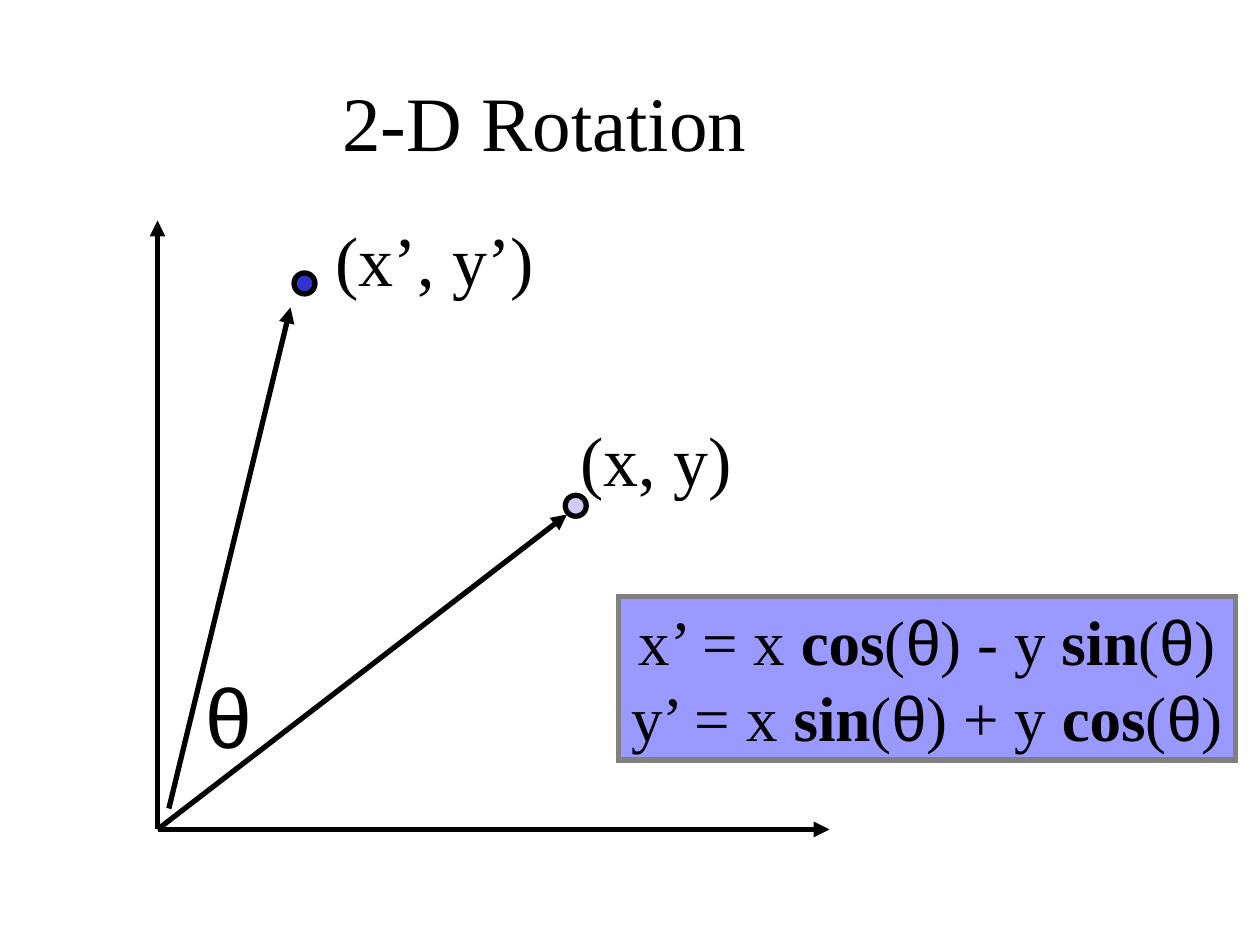
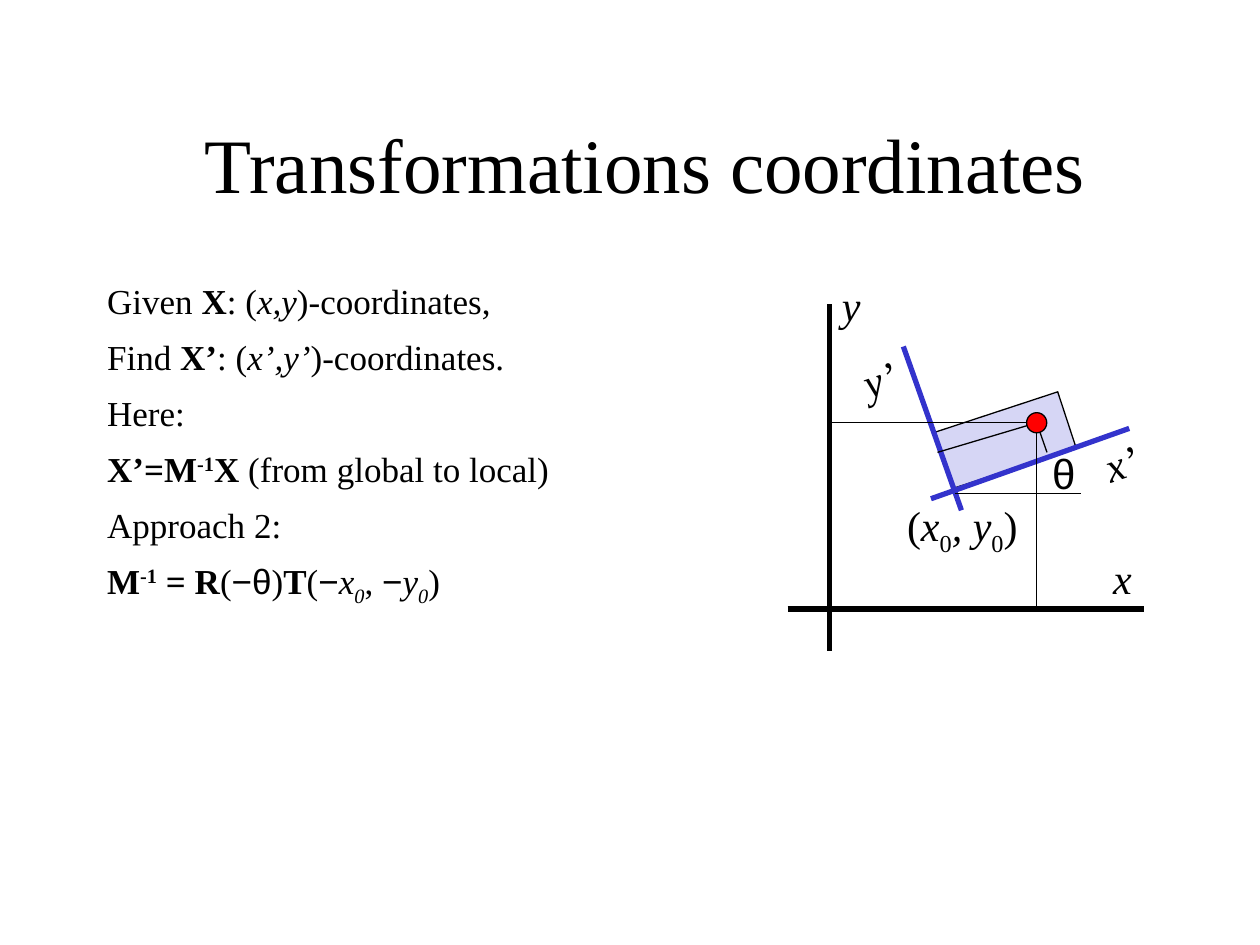
from dataclasses import dataclass
from itertools import groupby

from lxml import etree
from pptx import Presentation
from pptx.dml.color import RGBColor
from pptx.enum.shapes import MSO_CONNECTOR, MSO_SHAPE
from pptx.enum.text import MSO_ANCHOR, MSO_AUTO_SIZE, PP_ALIGN
from pptx.oxml.ns import qn
from pptx.util import Pt

COLORS = {
    "ink": "000000",
    "navy": "3333CC",
    "pale": "CCCCFF",
    "panel": "9999FF",
    "panel_edge": "808080",
    "local_box": "D6D6F5",
    "point": "FF0000",
}
SERIF, SANS = "Times New Roman", "Arial"
SYMBOLS = "θ−"
MARKS = "*/^_"  # bold, italic, superscript, subscript
THICK, THIN = 3, 0.75
TILT = 341.1


@dataclass(frozen=True)
class Label:
    text: str
    box: tuple[float, float, float, float]
    size: float = 24
    align: PP_ALIGN = PP_ALIGN.LEFT
    anchor: MSO_ANCHOR = MSO_ANCHOR.TOP
    before: float = 15
    rotation: float = 0


@dataclass(frozen=True)
class Line:
    start: tuple[float, float]
    end: tuple[float, float]
    width: float = THICK
    color: str = "ink"
    arrow: bool = False


@dataclass(frozen=True)
class Dot:
    center: tuple[float, float]
    size: float
    fill: str
    width: float


def rgb(name: str) -> RGBColor:
    return RGBColor.from_string(COLORS[name])


def place(sp, box) -> None:
    sp.left, sp.top, sp.width, sp.height = (Pt(v) for v in box)


def add_run(p, text: str, *, size: float, font: str = SERIF, bold: bool = False,
            italic: bool = False, baseline: int = 0) -> None:
    r = p.add_run()
    r.text = text
    f = r.font
    f.size, f.name, f.bold, f.italic = Pt(size), font, bold, italic
    f.color.rgb = rgb("ink")
    if baseline:
        r._r.get_or_add_rPr().set("baseline", str(baseline * 1000))


def add_marked(p, text: str, size: float) -> None:
    """Add runs, each character of MARKS switching its format on or off."""
    active, chars = frozenset(), []
    for ch in text:
        if ch in MARKS:
            active ^= {ch}
        else:
            chars.append((ch, active, ch in SYMBOLS))
    for (marks, symbol), group in groupby(chars, key=lambda c: c[1:]):
        add_run(p, "".join(c[0] for c in group), size=size,
                font=SANS if symbol else SERIF,
                bold="*" in marks, italic="/" in marks,
                baseline=30 if "^" in marks else -25 if "_" in marks else 0)


def fill_text(tf, lines, size: float, align: PP_ALIGN, before: float = 0) -> None:
    for i, text in enumerate(lines):
        p = tf.add_paragraph() if i else tf.paragraphs[0]
        p.alignment, p.space_before = align, Pt(before)
        add_marked(p, text, size)


def set_title(slide, text: str, box) -> None:
    sp = slide.shapes.title
    place(sp, box)
    tf = sp.text_frame
    tf.auto_size, tf.vertical_anchor = MSO_AUTO_SIZE.NONE, MSO_ANCHOR.MIDDLE
    fill_text(tf, [text], 44, PP_ALIGN.CENTER)


def set_body(slide, lines, box) -> None:
    sp = slide.placeholders[1]
    place(sp, box)
    tf = sp.text_frame
    tf.auto_size, tf.vertical_anchor = MSO_AUTO_SIZE.NONE, MSO_ANCHOR.TOP
    fill_text(tf, lines, 20, PP_ALIGN.LEFT, before=8)
    for p in tf.paragraphs:
        pPr = p._p.get_or_add_pPr()
        pPr.set("marL", str(Pt(27)))
        pPr.set("indent", str(-Pt(27)))
        etree.SubElement(pPr, qn("a:buNone"))


def add_label(slide, label: Label) -> None:
    sp = slide.shapes.add_textbox(*(Pt(v) for v in label.box))
    sp.rotation = label.rotation
    tf = sp.text_frame
    tf.word_wrap, tf.auto_size = False, MSO_AUTO_SIZE.SHAPE_TO_FIT_TEXT
    tf.vertical_anchor = label.anchor
    fill_text(tf, [label.text], label.size, label.align, label.before)


def add_line(slide, line: Line) -> None:
    c = slide.shapes.add_connector(MSO_CONNECTOR.STRAIGHT,
                                   *(Pt(v) for v in line.start + line.end))
    c.line.width = Pt(line.width)
    c.line.color.rgb = rgb(line.color)
    if line.arrow:
        etree.SubElement(c.line._get_or_add_ln(), qn("a:tailEnd"), type="triangle")
    etree.SubElement(c._element.spPr, qn("a:effectLst"))


def add_block(slide, kind: MSO_SHAPE, box, fill: str, edge: str, width: float):
    sp = slide.shapes.add_shape(kind, *(Pt(v) for v in box))
    sp.shadow.inherit = False
    sp.fill.solid()
    sp.fill.fore_color.rgb = rgb(fill)
    sp.line.color.rgb = rgb(edge)
    sp.line.width = Pt(width)
    etree.SubElement(sp.line._get_or_add_ln(), qn("a:miter"), lim="800000")
    return sp


def add_dot(slide, dot: Dot) -> None:
    x, y = (v - dot.size / 2 for v in dot.center)
    add_block(slide, MSO_SHAPE.OVAL, (x, y, dot.size, dot.size),
              dot.fill, "ink", dot.width)


def build_rotation(prs) -> None:
    slide = prs.slides.add_slide(prs.slide_layouts[5])
    set_title(slide, "2-D Rotation", (20.3, 24, 582, 90))

    origin = (90, 474)
    for dot in (Dot((174, 162), 12, "navy", THICK),
                Dot((329, 289), 12, "pale", THICK)):
        add_dot(slide, dot)
    for start, end in ((origin, (90, 126)), (origin, (474, 474)),
                       (origin, (324, 294)), ((96.5, 462), (166, 175.7))):
        add_line(slide, Line(start, end, arrow=True))
    middle = MSO_ANCHOR.MIDDLE
    for label in (
        Label("θ", (110.2, 376, 39, 64.8), 48, PP_ALIGN.CENTER, middle, 0),
        Label("(x, y)", (324.7, 234.3, 101, 55.4), 40, anchor=middle, before=0),
        Label("(x’, y’)", (184.8, 120.2, 127.4, 55.4), 40, anchor=middle, before=0),
    ):
        add_label(slide, label)

    panel = add_block(slide, MSO_SHAPE.RECTANGLE, (353.6, 340.8, 352.4, 93.6),
                      "panel", "panel_edge", THICK)
    tf = panel.text_frame
    tf.word_wrap, tf.vertical_anchor = False, middle
    tf.auto_size = MSO_AUTO_SIZE.NONE
    tf.margin_left = tf.margin_right = 0
    fill_text(tf, ["x’ = x *cos*(θ) - y *sin*(θ)", "y’ = x *sin*(θ) + y *cos*(θ)"],
              36, PP_ALIGN.CENTER)


def build_coordinates(prs) -> None:
    slide = prs.slides.add_slide(prs.slide_layouts[1])
    set_title(slide, "Transformations coordinates", (54, 48, 629.8, 90))
    set_body(slide, [
        "Given *X*: (/x,y/)-coordinates,",
        "Find *X’*: (/x’,y’/)-coordinates.",
        "Here:",
        "*X’=M^-1^X *(from global to local)",
        "Approach 2:",
        "*M^-1^ = R*(−θ)*T*(−/x_0_/, −/y_0_/)",
    ], (54, 156, 612, 188))

    local_box = add_block(slide, MSO_SHAPE.RECTANGLE, (538, 234.6, 73.6, 33.8),
                          "local_box", "ink", THIN)
    local_box.rotation = 341.8

    point = (592.4, 241.6)
    global_axes = [Line((450, 348), (654, 348)), Line((474, 372), (474, 174))]
    local_axes = [Line((532, 285), (645.3, 244.8), color="navy"),
                  Line((549.4, 291.6), (516.2, 198), color="navy")]
    angle_base = [Line((546, 282), (618, 282), THIN)]
    projections = [Line(point, foot, THIN) for foot in
                   ((473, 241.6), (592.4, 349), (535.7, 258.5), (598.3, 258.5))]
    for line in global_axes + local_axes + angle_base + projections:
        add_line(slide, line)

    for label in (
        Label("/x/", (629, 312, 25.2, 36)),
        Label("/y/", (474, 156, 25.2, 36)),
        Label("/x’/", (624.2, 246, 33, 36), rotation=TILT),
        Label("/y’/", (486, 198, 33, 36), rotation=TILT),
        Label("θ", (594.2, 252, 26.6, 36), align=PP_ALIGN.CENTER, before=0),
        Label("(/x/_0_/, y/_0_)", (511.2, 282, 77.8, 40.3)),
    ):
        add_label(slide, label)
    add_dot(slide, Dot(point, 11.5, "point", THIN))


def main() -> None:
    prs = Presentation()
    prs.slide_width, prs.slide_height = Pt(720), Pt(540)
    build_rotation(prs)
    build_coordinates(prs)
    prs.save("out.pptx")


if __name__ == "__main__":
    main()
